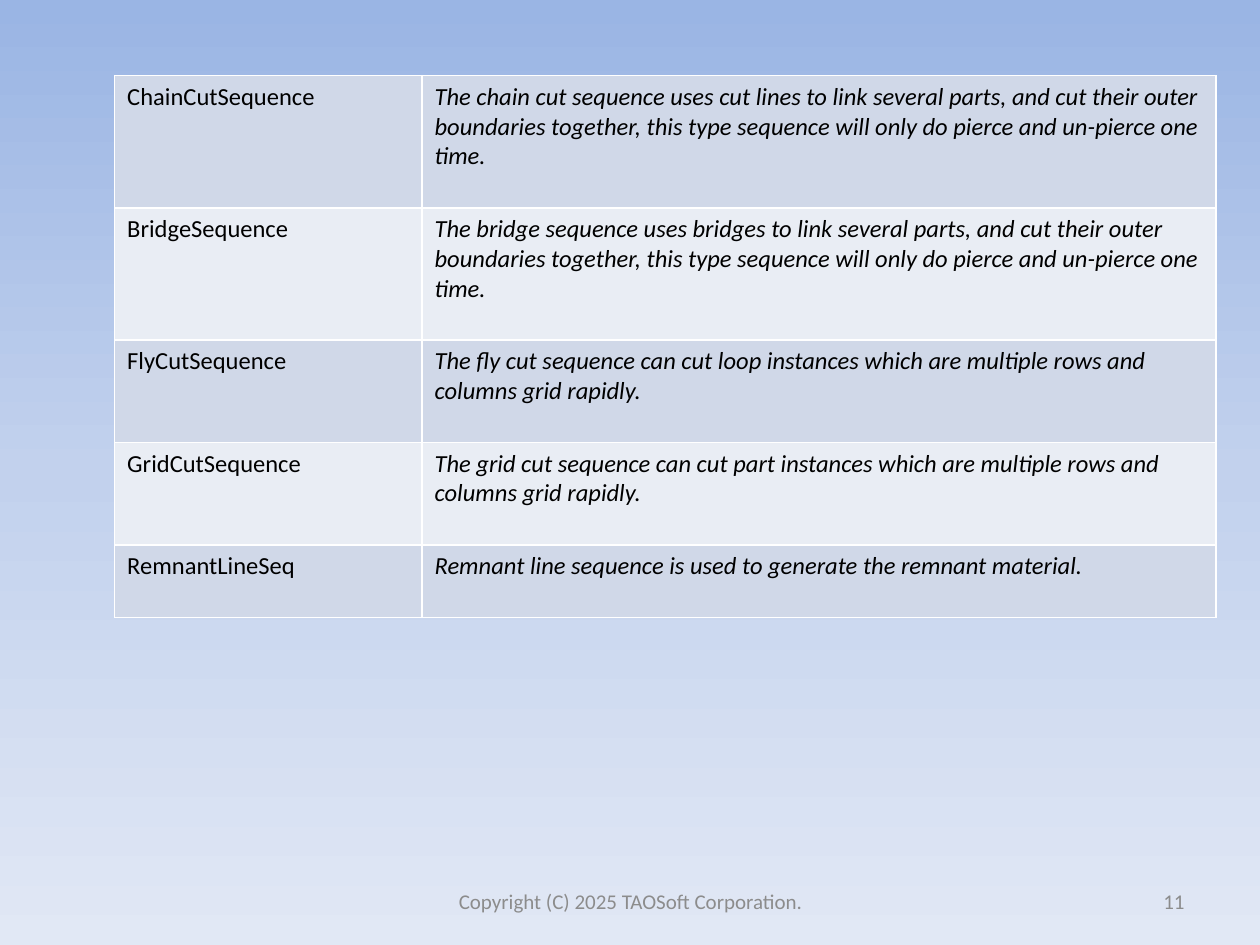
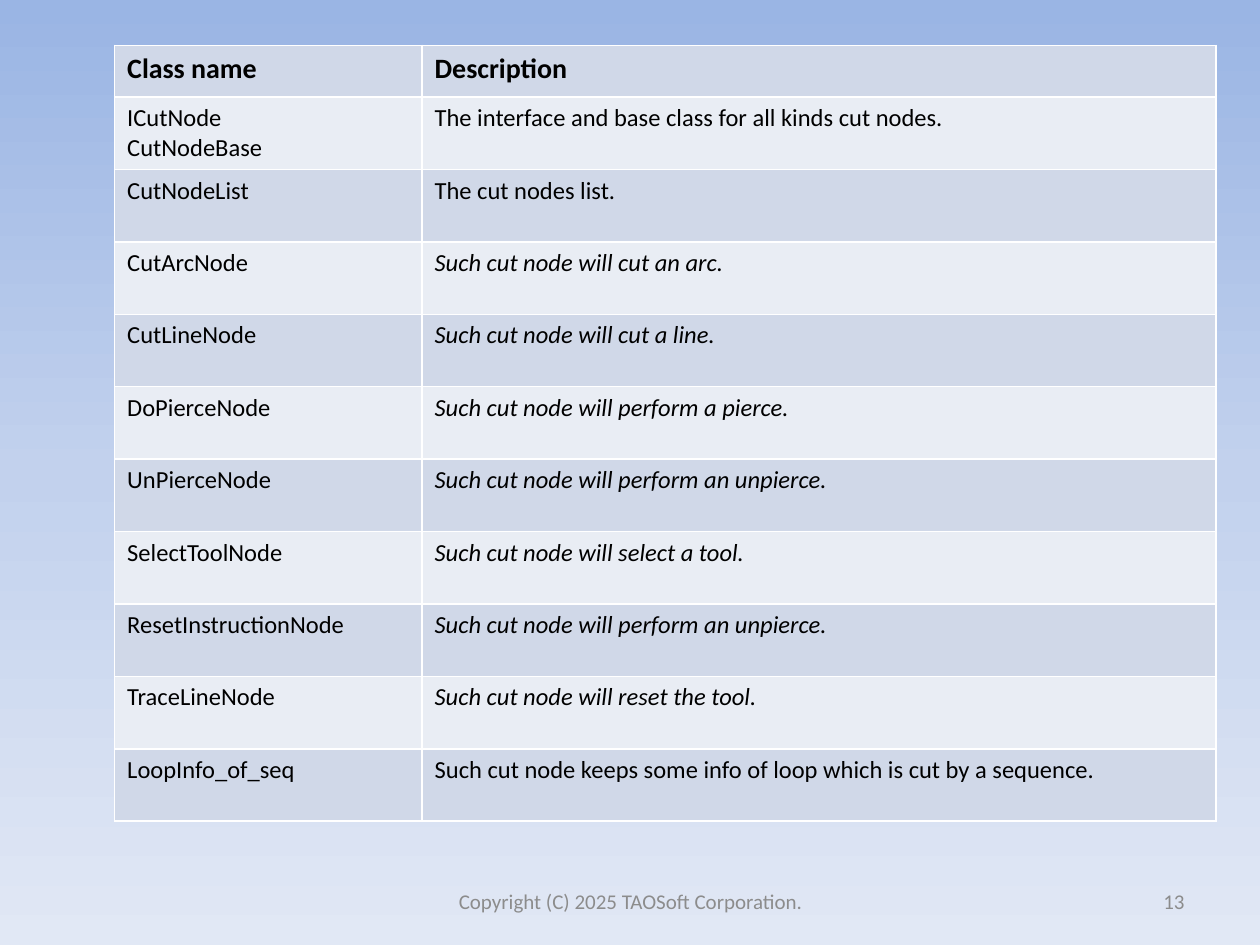
import copy

import pptx
import pptx.dml.color
import pptx.enum.text
import pptx.oxml
import pptx.oxml.ns
import pptx.util

Inches, Pt = pptx.util.Inches, pptx.util.Pt
ALIGN = pptx.enum.text.PP_ALIGN
qn = pptx.oxml.ns.qn

FONT = "Calibri"
HEX = {
    "top": "9AB5E4", "mid": "C2D1ED", "low": "E1E8F5",
    "dark": "D0D8E8", "light": "E9EDF4", "rule": "FFFFFF",
    "ink": "000000", "grey": "8C8C8C",
}
WIDE, HIGH = Inches(10), Inches(7.5)
COLS = (Inches(2.44), Inches(6.3))
LEFT = Inches(0.91)
LINE, PAD = Pt(17.1), Inches(0.1)
HEAD = Inches(0.41)
FOOT = "Copyright (C) 2025 TAOSoft Corporation."

# Each row: class name, description, italic description, lines of description
CUTS = [
    ("ChainCutSequence", "The chain cut sequence uses cut lines to link several parts, and cut "
     "their outer boundaries together, this type sequence will only do pierce and un-pierce one "
     "time.", True, 3),
    ("BridgeSequence", "The bridge sequence uses bridges to link several parts, and cut their "
     "outer boundaries together, this type sequence will only do pierce and un-pierce one time.",
     True, 3),
    ("FlyCutSequence", "The fly cut sequence can cut loop instances which are multiple rows and "
     "columns grid rapidly.", True, 2),
    ("GridCutSequence", "The grid cut sequence can cut part instances which are multiple rows "
     "and columns grid rapidly.", True, 2),
    ("RemnantLineSeq", "Remnant line sequence is used to generate the remnant material.",
     True, 1),
]
NODES = [
    ("ICutNode\nCutNodeBase", "The interface and base class for all kinds cut nodes.", False, 1),
    ("CutNodeList", "The cut nodes list.", False, 1),
    ("CutArcNode", "Such cut node will cut an arc.", True, 1),
    ("CutLineNode", "Such cut node will cut a line.", True, 1),
    ("DoPierceNode", "Such cut node will perform a pierce.", True, 1),
    ("UnPierceNode", "Such cut node will perform an unpierce.", True, 1),
    ("SelectToolNode", "Such cut node will select a tool.", True, 1),
    ("ResetInstructionNode", "Such cut node will perform an unpierce.", True, 1),
    ("TraceLineNode", "Such cut node will reset the tool.", True, 1),
    ("LoopInfo_of_seq", "Such cut node keeps some info of loop which is cut by a sequence.",
     False, 1),
]


def tint(name):
    return pptx.dml.color.RGBColor.from_string(HEX[name])


def write(frame, text, size=14, color="ink", bold=False, italic=False, align=ALIGN.LEFT):
    """Fill a text frame, one paragraph for each line of text."""
    frame.word_wrap = True
    for i, line in enumerate(text.split("\n")):
        para = frame.add_paragraph() if i else frame.paragraphs[0]
        para.alignment = align
        run = para.add_run()
        run.text = line
        font = run.font
        font.name, font.size = FONT, Pt(size)
        font.bold, font.italic = bold, italic
        font.color.rgb = tint(color)


def paint(slide):
    """Give the slide its three-stop vertical gradient."""
    fill = slide.background.fill
    fill.gradient()
    fill.gradient_angle = 270
    stops = slide.element.find(".//" + qn("a:gsLst"))
    stops.insert(1, copy.deepcopy(stops[0]))
    for stop, name, place in zip(fill.gradient_stops, ("top", "mid", "low"), (0, 0.5, 1)):
        stop.color.rgb = tint(name)
        stop.position = place


def footer(slide, number):
    top, high = Inches(6.95), Inches(0.4)
    parts = (
        (FOOT, Inches(3.42), Inches(3.17), ALIGN.CENTER),
        (str(number), Inches(7.17), Inches(2.33), ALIGN.RIGHT),
    )
    for text, left, wide, align in parts:
        frame = slide.shapes.add_textbox(left, top, wide, high).text_frame
        frame.vertical_anchor = pptx.enum.text.MSO_ANCHOR.MIDDLE
        write(frame, text, size=12, color="grey", align=align)


def border(cell):
    props = cell._tc.get_or_add_tcPr()
    for side in ("lnL", "lnR", "lnT", "lnB"):
        props.append(pptx.oxml.parse_xml(
            f'<a:{side} {pptx.oxml.ns.nsdecls("a")} w="{Pt(1)}"><a:solidFill>'
            f'<a:srgbClr val="{HEX["rule"]}"/></a:solidFill></a:{side}>'))


def listing(slide, top, rows, head=None):
    """Place a banded table of classes; each row has one spare line below its text."""
    lines = [(row[:2], (False, row[2]), PAD + LINE * (row[3] + 1), {}) for row in rows]
    if head:
        lines.insert(0, (head, (False, False), HEAD, {"size": 16, "bold": True}))
    high = sum(line[2] for line in lines)
    table = slide.shapes.add_table(len(lines), len(COLS), LEFT, top, sum(COLS), high).table
    table.first_row = table.horz_banding = False
    for col, wide in zip(table.columns, COLS):
        col.width = wide
    for i, (texts, slants, tall, style) in enumerate(lines):
        table.rows[i].height = tall
        for j, text in enumerate(texts):
            cell = table.cell(i, j)
            border(cell)
            cell.fill.solid()
            cell.fill.fore_color.rgb = tint("light" if i % 2 else "dark")
            write(cell.text_frame, text, italic=slants[j], **style)


def page(deck, number, top, rows, head=None):
    slide = deck.slides.add_slide(deck.slide_layouts[6])
    paint(slide)
    footer(slide, number)
    listing(slide, top, rows, head)


def main():
    deck = pptx.Presentation()
    deck.slide_width, deck.slide_height = WIDE, HIGH
    page(deck, 11, Inches(0.6), CUTS)
    page(deck, 13, Inches(0.36), NODES, head=("Class name", "Description"))
    deck.save("out.pptx")


if __name__ == "__main__":
    main()
